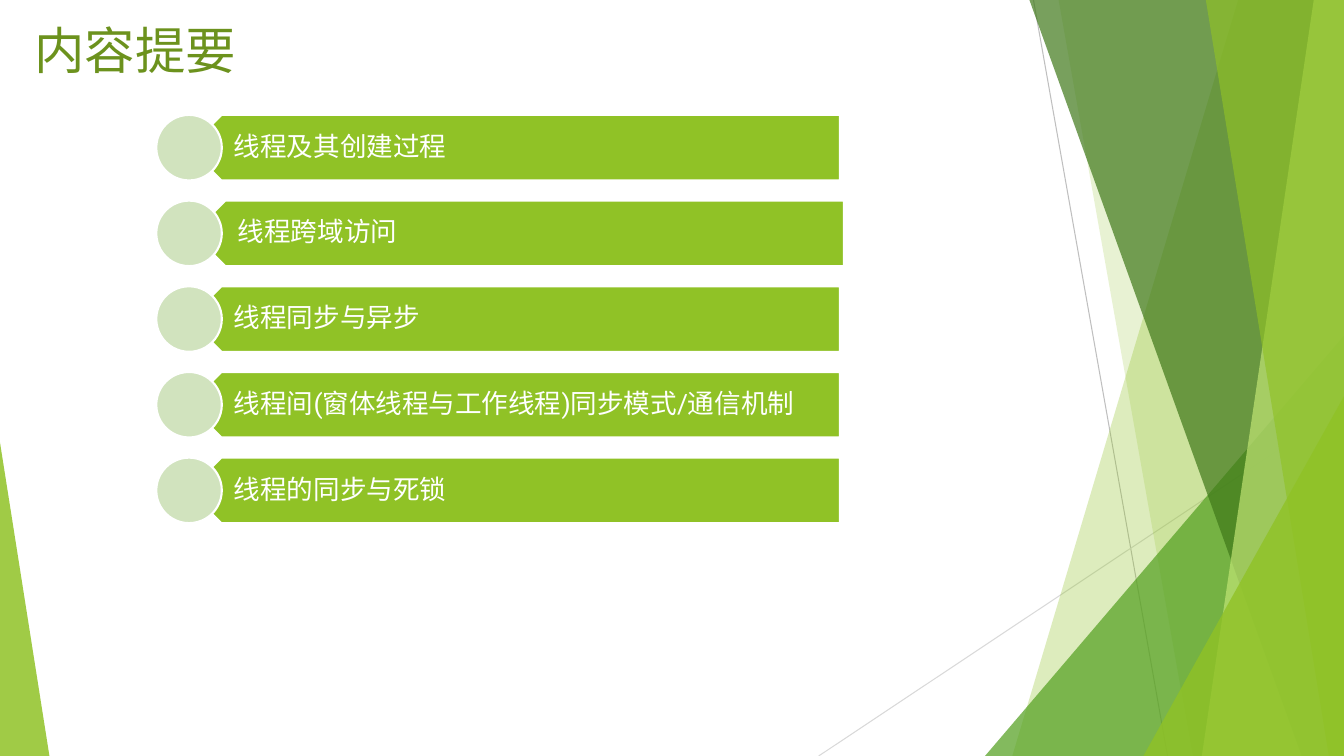
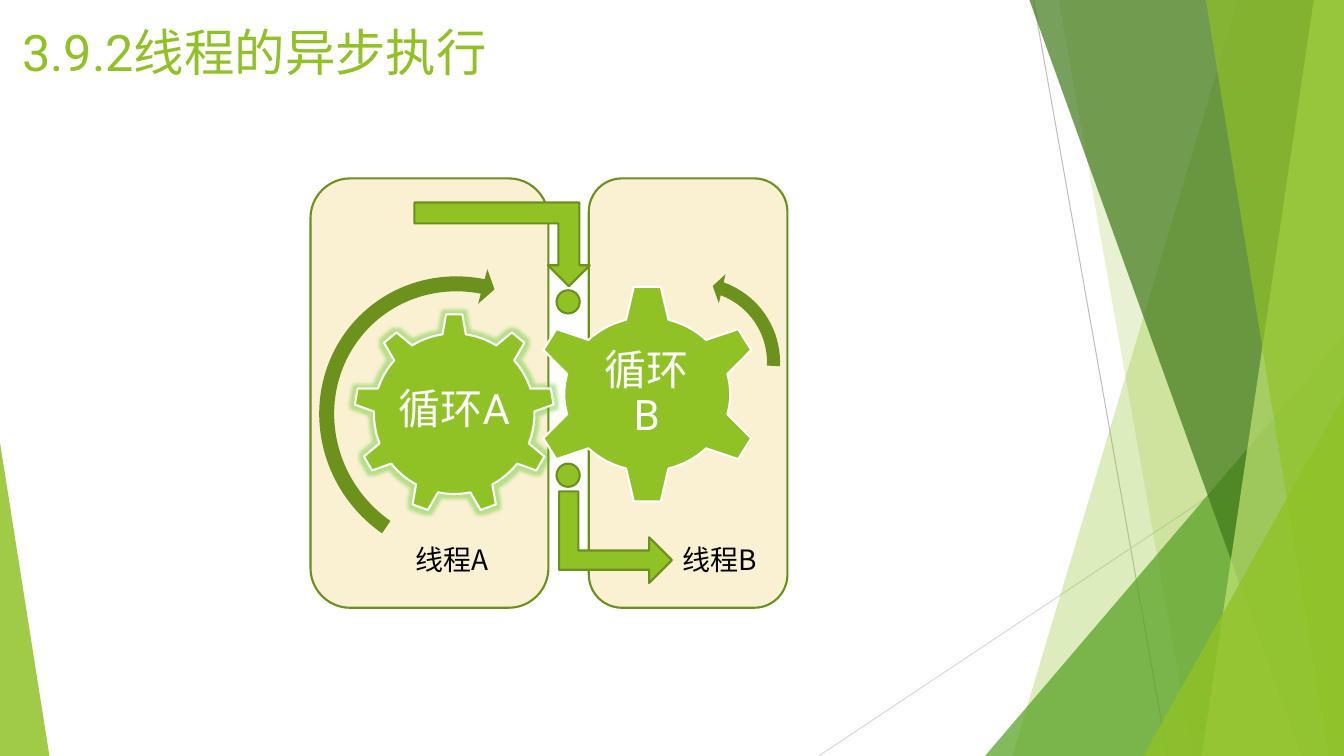
from lxml import etree
from pptx import Presentation, util as u
from pptx.dml.color import RGBColor
from pptx.enum import shapes, text
from pptx.oxml.ns import qn

MSO = shapes.MSO_SHAPE


class Theme:
    lime, green, forest, pale = "90C226", "54A021", "3F7819", "C0E474"
    olive, outline, mint, cream = "6C921D", "6B901C", "D1E3BE", "FAF1D2"
    white, black, glow = "FFFFFF", "000000", "4CC417"
    font, label_font = "Roboto", "Noto Sans CJK SC"
    title_size, gear_size, label_size, item_size = 36, 30, 20, 19
    line_width = 1.5


def paint(sp, fill, line=None, alpha=None):
    """Set fill, opacity in percent and outline of a shape."""
    sp.shadow.inherit = False
    sp.fill.solid()
    sp.fill.fore_color.rgb = RGBColor.from_string(fill)
    if alpha:
        clr = sp.element.spPr.find(".//" + qn("a:srgbClr"))
        etree.SubElement(clr, qn("a:alpha"), val=str(alpha * 1000))
    if line:
        sp.line.color.rgb = RGBColor.from_string(line)
        sp.line.width = u.Pt(Theme.line_width)
    else:
        sp.line.fill.background()
    return sp


def write(sp, words, size, color, font=Theme.font, align=text.PP_ALIGN.LEFT,
          anchor=text.MSO_ANCHOR.TOP, insets=(0.1, 0.05, 0.1, 0.05), spacing=1.0):
    """Fill a text box or placeholder with one formatted paragraph."""
    tf = sp.text_frame
    tf.text = words
    tf.word_wrap = True
    tf.auto_size = text.MSO_AUTO_SIZE.NONE
    tf.vertical_anchor = anchor
    tf.margin_left, tf.margin_top, tf.margin_right, tf.margin_bottom = map(u.Inches, insets)
    p = tf.paragraphs[0]
    p.alignment = align
    p.line_spacing = spacing
    p.font.name = font
    p.font.size = u.Pt(size)
    p.font.color.rgb = RGBColor.from_string(color)


prs = Presentation()
prs.slide_width, prs.slide_height = u.Inches(13.33), u.Inches(7.5)
layout = prs.slide_layouts.get_by_name("Title Only")
for ph in list(layout.placeholders)[1:]:
    ph.element.getparent().remove(ph.element)

# Slides with their titles
slides = []
for words, color, box in [
    ("内容提要", Theme.olive, (0.24, 0.14, 4.3, 0.78)),
    ("3.9.2线程的异步执行", Theme.lime, (0.12, 0.16, 4.86, 0.77)),
]:
    s = prs.slides.add_slide(layout)
    title = s.shapes.title
    title.left, title.top, title.width, title.height = map(u.Inches, box)
    write(title, words, Theme.title_size, color)
    slides.append(s)
agenda, gears = slides

# Shared decoration: drawn as one group, then moved into the layout
art = agenda.shapes.add_group_shape()
for ends, color in [((10.25, 0, 11.58, 7.5), "BFBFBF"), ((13.33, 4.03, 8.12, 7.5), "D9D9D9")]:
    cx = art.shapes.add_connector(shapes.MSO_CONNECTOR.STRAIGHT, *map(u.Inches, ends))
    cx.line.color.rgb = RGBColor.from_string(color)
    cx.line.width = u.Pt(0.75)
    etree.SubElement(cx.element.spPr, qn("a:effectLst"))

# Bands give (top x, bottom x); wedges give (apex, left, top, width, height)
for form, color, alpha in [
    ((12.28, 10.04), Theme.lime, 30),
    ((10.5, 11.83), Theme.lime, 20),
    ((1, 9.77, 3.33, 3.56, 4.17), Theme.green, 72),
    ((10.21, 12.91), Theme.forest, 70),
    ((13.03, 11.92), Theme.pale, 70),
    ((11.96, 13.18), Theme.lime, 65),
    ((1, 11.34, 3.93, 1.99, 3.57), Theme.lime, 80),
    ((0, 0, 4.39, 0.49, 3.11), Theme.lime, 85),
]:
    if len(form) == 2:
        top_x, bottom_x = map(u.Inches, form)
        fb = art.shapes.build_freeform(top_x, 0)
        fb.add_line_segments([(prs.slide_width, 0), (prs.slide_width, prs.slide_height),
                              (bottom_x, prs.slide_height)], close=True)
        sp = fb.convert_to_shape()
    else:
        apex, *box = form
        sp = art.shapes.add_shape(MSO.ISOSCELES_TRIANGLE, *map(u.Inches, box))
        sp.adjustments[0] = apex
    paint(sp, color, alpha=alpha)
layout.shapes.element.insert(2, art.element)

# Slide 1: agenda bars with a circle on the left; the second bar sits slightly right
first_top, pitch, height = 1.14, 0.85, 0.65
for i, (words, shift) in enumerate([
    ("线程及其创建过程", 0),
    ("线程跨域访问", 0.04),
    ("线程同步与异步", 0),
    ("线程间(窗体线程与工作线程)同步模式/通信机制", 0),
    ("线程的同步与死锁", 0),
]):
    top = first_top + i * pitch
    bar = agenda.shapes.add_shape(
        MSO.PENTAGON, *map(u.Inches, (1.87 + shift, top, 6.46, height)))
    bar.rotation = 180
    paint(bar, Theme.lime, Theme.white)
    item = agenda.shapes.add_textbox(*map(u.Inches, (2.03 + shift, top, 6.3, height)))
    write(item, words, Theme.item_size, Theme.white, anchor=text.MSO_ANCHOR.MIDDLE,
          insets=(0.29, 0.08, 0.15, 0.08), spacing=0.9)
    dot = agenda.shapes.add_shape(MSO.OVAL, *map(u.Inches, (1.55, top, height, height)))
    paint(dot, Theme.mint, Theme.white)

# Slide 2: one panel per thread
for box in [(5.84, 1.77, 1.97, 4.26), (3.08, 1.77, 2.36, 4.26)]:
    panel = gears.shapes.add_shape(MSO.ROUNDED_RECTANGLE, *map(u.Inches, box))
    paint(panel, Theme.cream, Theme.outline)

# Gears with their captions; the first one glows
for kind, box, words, caption_box, glowing in [
    (MSO.GEAR_9, (3.51, 3.11, 1.99, 1.99), "循环A", (3.91, 3.57, 1.19, 1.02), True),
    (MSO.GEAR_6, (5.27, 2.82, 2.3, 2.18), "循环B", (5.83, 3.37, 1.17, 1.08), False),
]:
    gear = gears.shapes.add_shape(kind, *map(u.Inches, box))
    paint(gear, Theme.lime, Theme.white)
    if glowing:
        effects = gear.element.spPr.find(qn("a:effectLst"))
        glow = etree.SubElement(effects, qn("a:glow"), rad=str(u.Pt(5)))
        clr = etree.SubElement(glow, qn("a:srgbClr"), val=Theme.glow)
        etree.SubElement(clr, qn("a:alpha"), val="40000")
    caption = gears.shapes.add_textbox(*map(u.Inches, caption_box))
    write(caption, words, Theme.gear_size, Theme.white, align=text.PP_ALIGN.CENTER,
          anchor=text.MSO_ANCHOR.MIDDLE, insets=(0.04,) * 4, spacing=0.9)

# Rotation arrows, hand-over arrows and dots
for kind, box, rotation, adjustments, color, line in [
    (MSO.CIRCULAR_ARROW, (3.04, 2.66, 3.05, 2.97), 228.6,
     (0.05, 3.13, 30.67, 153.28, 0.06), Theme.olive, None),
    (MSO.LEFT_CIRCULAR_ARROW, (5.97, 2.67, 1.85, 1.85), 115.3,
     (0.07, 4.3, 104.89, 148.38, 0.08), Theme.olive, None),
    (MSO.BENT_UP_ARROW, (5.65, 4.77, 0.91, 1.12), 90,
     (0.21, 0.25, 0.25), Theme.lime, Theme.outline),
    (MSO.BENT_UP_ARROW, (4.11, 2.01, 1.74, 0.83), 0, (), Theme.lime, Theme.outline),
    (MSO.OVAL, (5.52, 2.88, 0.23, 0.23), 0, (), Theme.lime, Theme.outline),
    (MSO.OVAL, (5.52, 4.6, 0.23, 0.23), 0, (), Theme.lime, Theme.outline),
]:
    sp = gears.shapes.add_shape(kind, *map(u.Inches, box))
    sp.rotation = rotation
    for i, value in enumerate(adjustments):
        sp.adjustments[i] = value
    if kind == MSO.BENT_UP_ARROW and not rotation:
        sp.element.spPr.find(qn("a:xfrm")).set("flipV", "1")
    paint(sp, color, line)

# Thread labels
for words, left, width in [("线程B", 6.67, 0.94), ("线程A", 4.02, 0.96)]:
    label = gears.shapes.add_textbox(*map(u.Inches, (left, 5.33, width, 0.44)))
    write(label, words, Theme.label_size, Theme.black, font=Theme.label_font)

prs.save("out.pptx")
